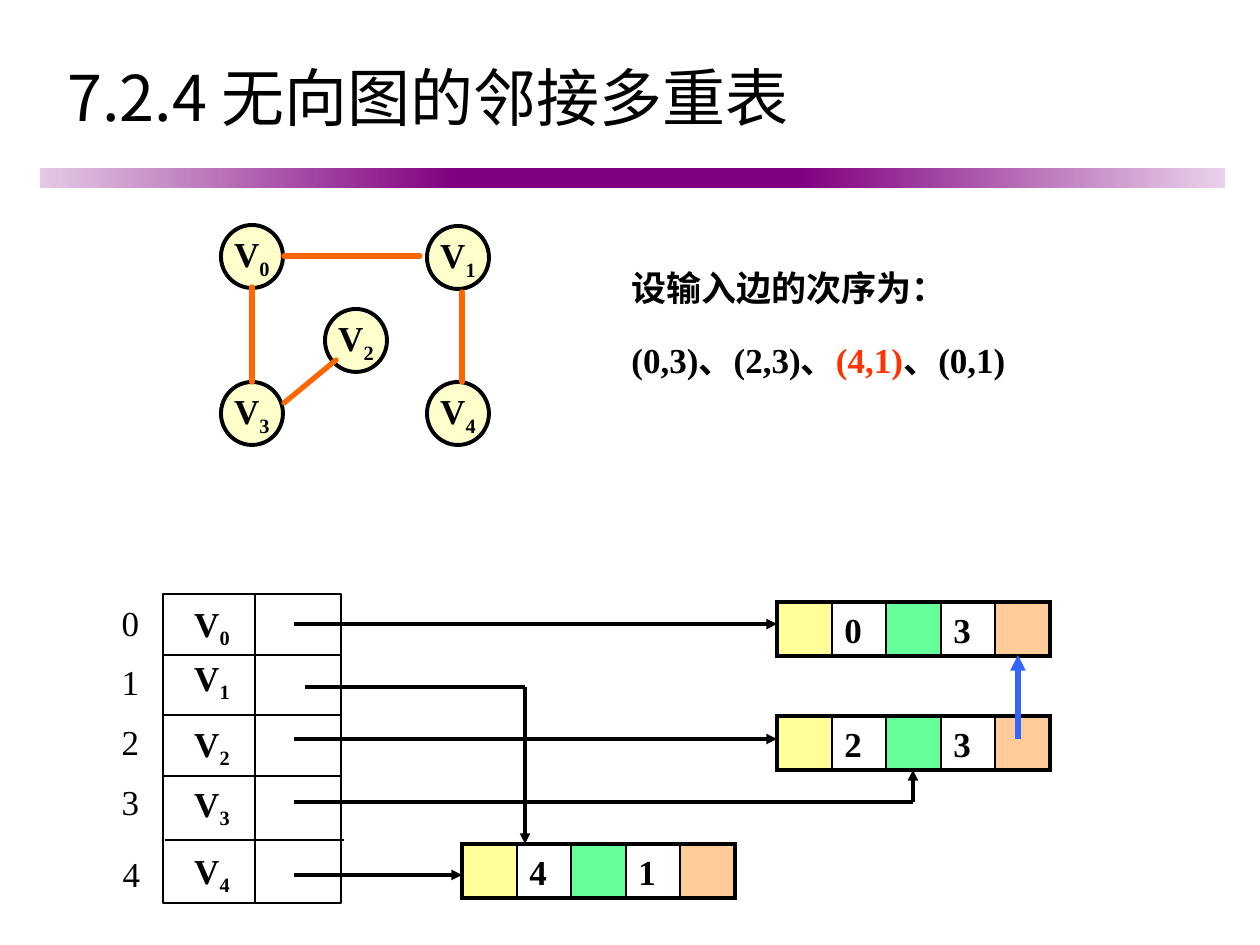
from lxml.etree import SubElement
from pptx import Presentation
from pptx.dml.color import RGBColor
from pptx.enum.shapes import MSO_CONNECTOR, MSO_SHAPE
from pptx.enum.text import MSO_ANCHOR as ANCHOR, MSO_AUTO_SIZE as FIT, PP_ALIGN as ALIGN
from pptx.oxml.ns import qn
from pptx.util import Emu, Pt

SCALE = 914400 / 126
SERIF, SANS = "Times New Roman", "Noto Sans CJK JP"
BLACK, PURPLE, ORANGE, BLUE = "000000", "800080", "FF6600", "3366FF"


def px(*values):
    return [Emu(round(v * SCALE)) for v in values]


def rgb(color):
    return RGBColor.from_string(color)


def add_run(p, text, color=BLACK, font=SERIF, base=0, size=20, bold=True):
    r = p.add_run()
    r.text = text
    for name, value in {"name": font, "size": Pt(size), "bold": bold}.items():
        setattr(r.font, name, value)
    r.font.color.rgb = rgb(color)
    rPr = r.font._element
    SubElement(rPr, qn("a:ea")).set("typeface", SANS)
    if base:
        rPr.set("baseline", str(base * 1000))


def add_vertex_name(p, i):
    add_run(p, "V")
    add_run(p, str(i), base=-25)


def set_frame(s, anchor=ANCHOR.MIDDLE, wrap=False, align=ALIGN.CENTER, fit=FIT.NONE):
    tf = s.text_frame
    frame = {"vertical_anchor": anchor, "word_wrap": wrap, "auto_size": fit}
    for name, value in frame.items():
        setattr(tf, name, value)
    p = tf.paragraphs[0]
    p.alignment = align
    return p


def add_label(slide, box, **frame):
    return set_frame(slide.shapes.add_textbox(*px(*box)), **frame)


def add_box(slide, box, fill=None, line=None, width=1, kind=MSO_SHAPE.RECTANGLE):
    s = slide.shapes.add_shape(kind, *px(*box))
    s.shadow.inherit = False
    if fill:
        s.fill.solid()
        s.fill.fore_color.rgb = rgb(fill)
    else:
        s.fill.background()
    if line:
        s.line.color.rgb = rgb(line)
        s.line.width = Pt(width)
    else:
        s.line.fill.background()
    return s


def add_line(slide, ends, color=BLACK, width=0.75, arrow=False, cap="flat"):
    c = slide.shapes.add_connector(MSO_CONNECTOR.STRAIGHT, *px(*ends))
    c.line.color.rgb = rgb(color)
    c.line.width = Pt(width)
    spPr = c._element.spPr
    ln = spPr.find(qn("a:ln"))
    ln.set("cap", cap)
    if arrow:
        SubElement(ln, qn("a:tailEnd")).set("type", "triangle")
    SubElement(spPr, qn("a:effectLst"))


def add_path(slide, *points, color=BLACK, width=2):
    """Straight segments through the points, with an arrowhead at the end."""
    for i, (start, end) in enumerate(zip(points, points[1:]), 2):
        add_line(slide, start + end, color, width, arrow=i == len(points))


def add_banner(slide):
    for left, width, start, end in ((40, 417, "E4C9E4", PURPLE),
                                    (457, 341, PURPLE, PURPLE),
                                    (798, 427, PURPLE, "E9D2E9")):
        s = add_box(slide, (left, 168, width, 20), PURPLE)
        if start != end:
            s.fill.gradient()
            s.fill.gradient_angle = 0
            for stop, color in zip(s.fill.gradient_stops, (start, end)):
                stop.color.rgb = rgb(color)


def add_vertex_array(slide):
    add_box(slide, (163, 594, 178, 309), line=BLACK, width=0.75)
    for x, y in ((162, 655), (162, 715), (162, 776), (165, 840)):
        add_line(slide, (x, y, x + 179, y))
    add_line(slide, (255, 594, 255, 903))
    index_tops, name_tops = (595, 654, 714, 774, 846), (596, 650, 716, 776, 843)
    for i, (index_top, name_top) in enumerate(zip(index_tops, name_tops)):
        left = 110 if i == 4 else 109
        index = add_label(slide, (left, index_top, 43, 55), fit=FIT.SHAPE_TO_FIT_TEXT)
        add_run(index, str(i), bold=False)
        name = add_label(slide, (180, name_top, 64, 60), fit=FIT.SHAPE_TO_FIT_TEXT)
        add_vertex_name(name, i)


def add_edge_node(slide, left, top, ivex, jvex):
    width, height = 273, 54
    xs = [left + round(i * width / 5) for i in range(6)]
    for x, fill in zip(xs[::2], ("FFFF99", "66FF99", "FFCC99")):
        add_box(slide, (x, top, 55, height), fill)
    for x, vertex in zip(xs[1::2], (ivex, jvex)):
        p = add_label(slide, (x, top, 55, height),
                      anchor=ANCHOR.TOP, wrap=True, align=ALIGN.LEFT)
        p.space_before = Pt(5)
        add_run(p, str(vertex))
    for x in xs:
        outer = x in (xs[0], xs[-1])
        add_line(slide, (x, top, x, top + height), width=2.25 if outer else 1)
    for y in (top, top + height):
        add_line(slide, (left, y, left + width, y), width=2.25, cap="sq")


def add_graph(slide):
    centres = ((252, 257), (458, 258), (356, 341), (252, 414), (458, 414))
    for i, (x, y) in enumerate(centres):
        s = add_box(slide, (x - 31, y - 32, 62, 63), "FFFFCC", BLACK, 2.25,
                    MSO_SHAPE.OVAL)
        add_vertex_name(set_frame(s), i)
    for ends in ((284, 256, 420, 256), (252, 287, 252, 382),
                 (462, 292, 462, 382), (336, 360, 284, 403)):
        add_line(slide, ends, ORANGE, 3, cap="rnd")


def add_input_order(slide):
    p = add_label(slide, (619, 256, 420, 181),
                  anchor=ANCHOR.TOP, wrap=True, align=ALIGN.LEFT)
    add_run(p, "设输入边的次序为：")
    edges = p._parent.add_paragraph()
    for text, color in (("(0,3)、(2,3)、", BLACK), ("(4,1)", "FF3300"),
                        ("、(0,1)", BLACK)):
        add_run(edges, text, color)
    for para, spacing in ((p, 1.1), (edges, 1.2)):
        para.line_spacing = spacing
        para.space_before = Pt(12.5)


def main():
    prs = Presentation()
    prs.slide_width, prs.slide_height = px(1260, 945)
    slide = prs.slides.add_slide(prs.slide_layouts[6])

    # Heading
    add_banner(slide)
    title = add_label(slide, (55, 46, 1142, 101), wrap=True, align=ALIGN.LEFT)
    add_run(title, "7.2.4 无向图的邻接多重表", font=SANS, size=36, bold=False)

    # Graph and the order of its edges
    add_graph(slide)
    add_input_order(slide)

    # Adjacency multilist
    add_vertex_array(slide)
    for node in ((462, 844, 4, 1), (777, 716, 2, 3), (777, 602, 0, 3)):
        add_edge_node(slide, *node)

    # Pointers
    for y, end in ((624, 777), (739, 777), (875, 462)):
        add_path(slide, (294, y), (end, y))
    add_path(slide, (305, 687), (525, 687), (525, 844))
    add_path(slide, (294, 802), (913, 802), (913, 770))
    add_path(slide, (1018, 739), (1018, 655), color=BLUE, width=3)

    prs.save("out.pptx")


main()
